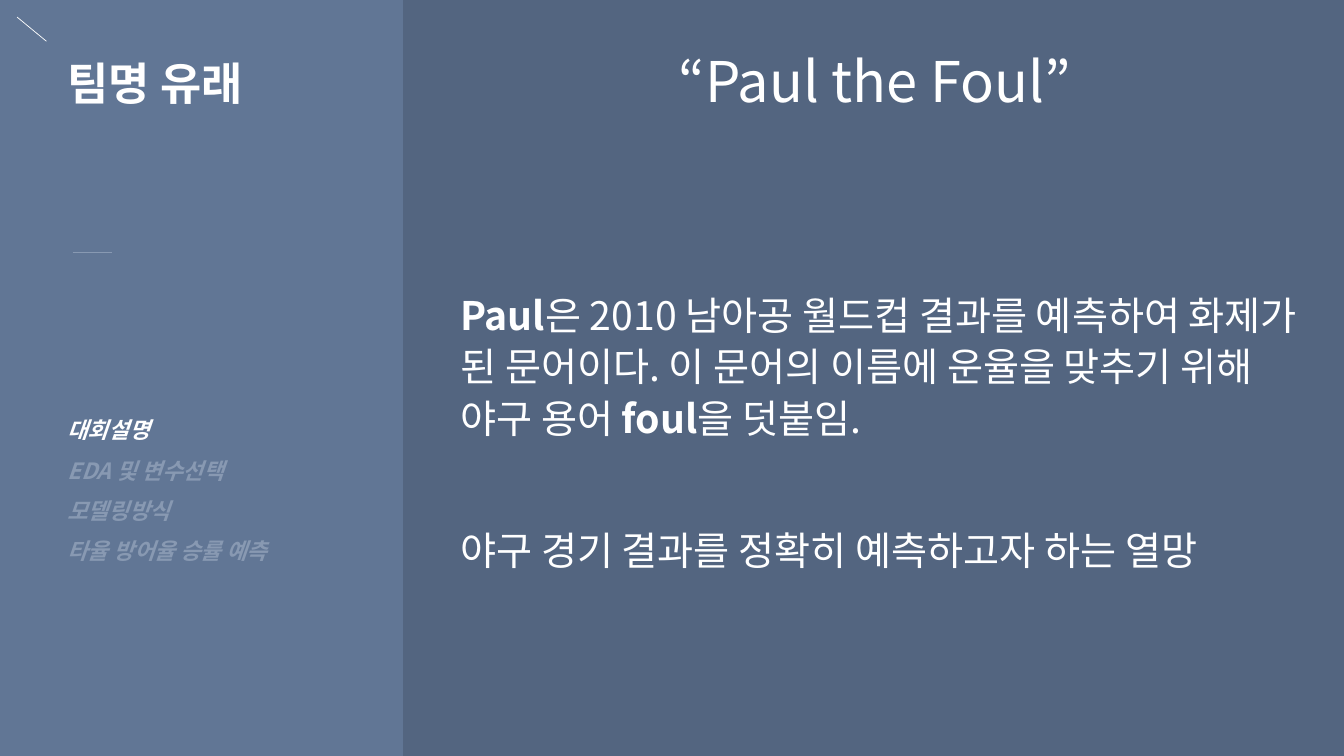
from lxml.etree import SubElement
from pptx import Presentation
from pptx.dml.color import RGBColor
from pptx.enum.shapes import MSO_CONNECTOR
from pptx.enum.text import MSO_ANCHOR, MSO_AUTO_SIZE, PP_ALIGN
from pptx.oxml.ns import qn
from pptx.util import Cm, Pt

COLORS = {"sidebar": "617695", "main": "536580", "text": "FFFFFF", "muted": "8899B2"}
FONT = "Noto Sans CJK KR"
SIDEBAR_SHARE = 0.3
SECTIONS = ["대회설명", "EDA 및 변수선택", "모델링방식", "타율 방어율 승률 예측"]
CURRENT_SECTION = "대회설명"
STORY = [
    [
        ("Paul", True),
        ("은 2010 남아공 월드컵 결과를 예측하여 화제가 된 문어이다. "
         "이 문어의 이름에 운율을 맞추기 위해 야구 용어 ", False),
        ("foul", True),
        ("을 덧붙임.", False),
    ],
    [("야구 경기 결과를 정확히 예측하고자 하는 열망", False)],
]


def style_paragraph(paragraph, size, color="text", bold=None, italic=None):
    """Set the font of a whole paragraph, for Latin and Korean text alike."""
    font = paragraph.font
    font.name, font.size, font.bold, font.italic = FONT, Pt(size), bold, italic
    font.color.rgb = RGBColor.from_string(COLORS[color])
    properties = paragraph._p.pPr.find(qn("a:defRPr"))
    SubElement(properties, qn("a:ea"), typeface=FONT)


def add_text_frame(slide, left, top, width, height):
    """Add a wrapping text box and return its text frame."""
    text_frame = slide.shapes.add_textbox(left, top, width, height).text_frame
    text_frame.word_wrap = True
    return text_frame


def add_paragraphs(text_frame, count):
    """Return the first paragraph of a frame followed by new ones."""
    return [text_frame.paragraphs[0]] + [text_frame.add_paragraph() for _ in range(count - 1)]


def add_line(slide, start, end, color):
    """Draw a thin line without a shadow."""
    line = slide.shapes.add_connector(MSO_CONNECTOR.STRAIGHT, *start, *end)
    line.line.color.rgb = RGBColor.from_string(COLORS[color])
    line.line.width = Pt(0.5)
    SubElement(line._element.spPr, qn("a:effectLst"))


def paint_background(slide):
    """Split the background sharply into sidebar and main colours."""
    fill = slide.background.fill
    fill.gradient()
    fill.gradient_angle = 0
    for stop, name in zip(fill.gradient_stops, ("sidebar", "main")):
        stop.color.rgb = RGBColor.from_string(COLORS[name])
        stop.position = SIDEBAR_SHARE


def build_sidebar(slide, left, top):
    """Place the title, accent lines and section list."""
    title = slide.shapes.title
    title.left, title.top = left + Cm(1.45), top + Cm(1.27)
    title.width, title.height = Cm(8.03), Cm(1.63)
    title.text_frame.text = "팀명 유래"
    title.text_frame.vertical_anchor = MSO_ANCHOR.TOP
    title.text_frame.auto_size = MSO_AUTO_SIZE.NONE
    paragraph = title.text_frame.paragraphs[0]
    paragraph.alignment = PP_ALIGN.LEFT
    style_paragraph(paragraph, 32, bold=True)

    add_line(slide, (left + Cm(0.43), top + Cm(0.43)),
             (left + Cm(1.17), top + Cm(1.04)), "text")
    add_line(slide, (left + Cm(1.83), top + Cm(6.35)),
             (left + Cm(2.82), top + Cm(6.35)), "muted")

    text_frame = add_text_frame(slide, title.left, top + Cm(10.03), Cm(7.62), Cm(4.22))
    for paragraph, section in zip(add_paragraphs(text_frame, len(SECTIONS)), SECTIONS):
        paragraph.text = section
        paragraph.line_spacing = 1.5
        color = "text" if section == CURRENT_SECTION else "muted"
        style_paragraph(paragraph, 16, color, bold=True, italic=True)


def build_main(slide, left, top):
    """Place the team name and the story behind it."""
    text_left = left + Cm(1.19)
    heading = add_text_frame(slide, text_left, top + Cm(1.04), Cm(21.39), Cm(1.96))
    paragraph = heading.paragraphs[0]
    paragraph.text = "“Paul the Foul”"
    paragraph.alignment = PP_ALIGN.CENTER
    style_paragraph(paragraph, 40)

    story = add_text_frame(slide, text_left, top + Cm(7.09), Cm(21.84), Cm(7.92))
    for index, paragraph in enumerate(add_paragraphs(story, len(STORY))):
        for text, bold in STORY[index]:
            run = paragraph.add_run()
            run.text, run.font.bold = text, bold
        paragraph.line_spacing = 1.1
        paragraph.space_before = Pt(57 if index else 10)
        style_paragraph(paragraph, 28)


def main():
    """Build and save the slide."""
    presentation = Presentation()
    presentation.slide_width, presentation.slide_height = Cm(33.87), Cm(19.05)
    slide = presentation.slides.add_slide(presentation.slide_layouts[5])
    paint_background(slide)
    build_sidebar(slide, 0, 0)
    build_main(slide, round(presentation.slide_width * SIDEBAR_SHARE), 0)
    presentation.save("out.pptx")


if __name__ == "__main__":
    main()
